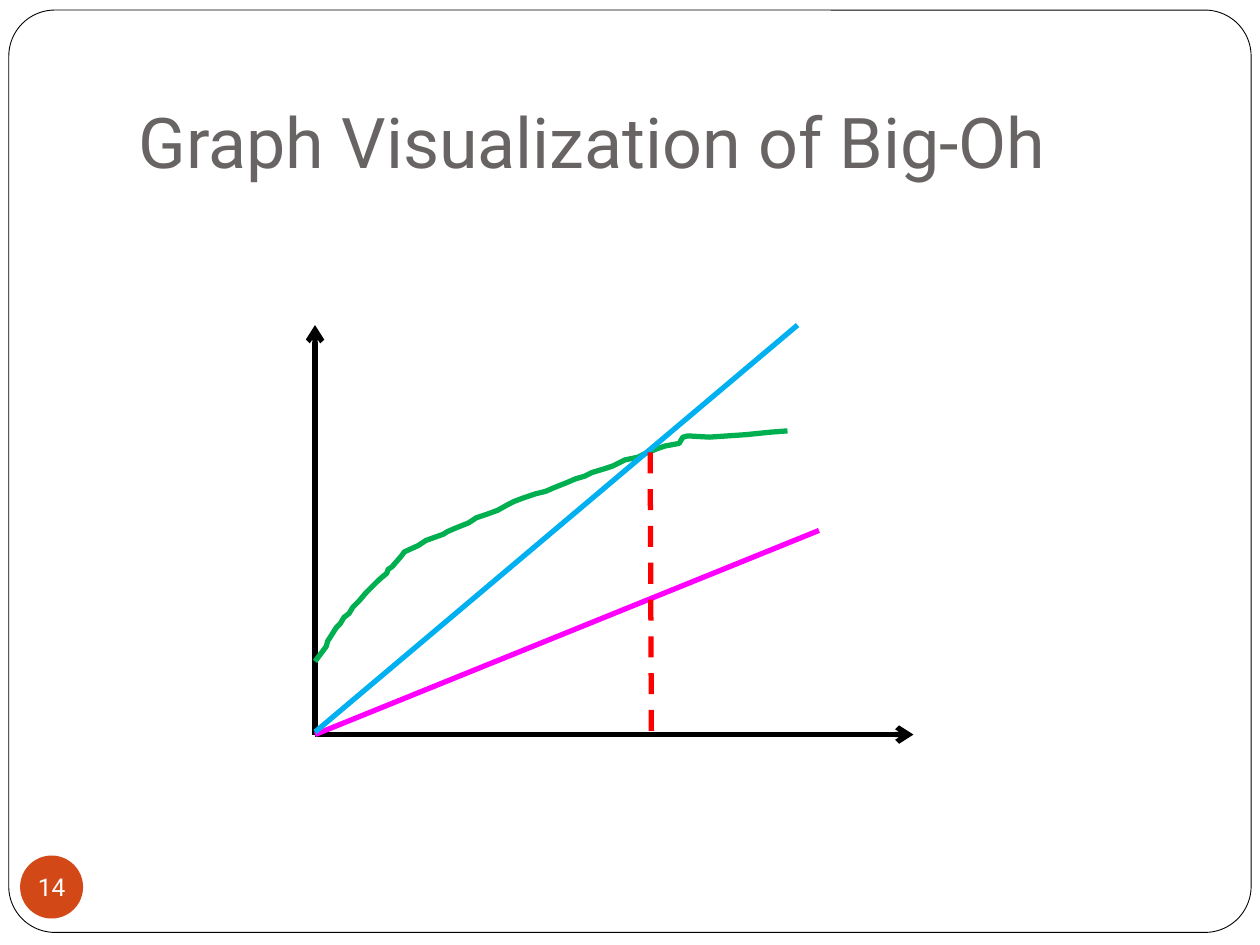
from lxml import etree
from pptx import Presentation
from pptx import util as u
from pptx.dml.color import RGBColor
from pptx.enum import dml, shapes, text
from pptx.oxml.ns import qn

BLACK = RGBColor(0x00, 0x00, 0x00)
WHITE = RGBColor(0xFF, 0xFF, 0xFF)
GRAY = RGBColor(0x69, 0x64, 0x64)
RUST = RGBColor(0xD3, 0x48, 0x17)
GREEN = RGBColor(0x00, 0xB0, 0x50)
PINK = RGBColor(0xFF, 0x00, 0xFF)
BLUE = RGBColor(0x00, 0xB0, 0xF0)
RED = RGBColor(0xFF, 0x00, 0x00)
FONT = "Roboto"

CURVE = [
    (0, 0.58), (0.09, 0.7), (0.1, 0.74), (0.17, 0.85), (0.2, 0.88),
    (0.23, 0.93), (0.27, 0.96), (0.3, 1.01), (0.35, 1.06), (0.4, 1.12),
    (0.44, 1.16), (0.51, 1.23), (0.57, 1.28), (0.58, 1.31), (0.61, 1.33),
    (0.68, 1.41), (0.71, 1.45), (0.82, 1.5), (0.88, 1.54), (1.02, 1.59),
    (1.05, 1.61), (1.12, 1.64), (1.22, 1.68), (1.28, 1.72), (1.37, 1.75),
    (1.45, 1.78), (1.54, 1.83), (1.58, 1.85), (1.66, 1.88), (1.75, 1.91),
    (1.83, 1.93), (1.9, 1.96), (2, 2), (2.07, 2.03), (2.14, 2.05),
    (2.2, 2.08), (2.3, 2.11), (2.36, 2.13), (2.46, 2.18), (2.56, 2.2),
    (2.62, 2.23), (2.72, 2.27), (2.78, 2.29), (2.89, 2.31), (2.92, 2.36),
    (2.96, 2.37), (3.13, 2.36), (3.42, 2.38), (3.62, 2.4), (3.75, 2.41),
]


def style(font, size, color):
    font.name = FONT
    font.size = u.Pt(size)
    font.color.rgb = color


def add_frame(slide, box):
    frame = slide.shapes.add_shape(shapes.MSO_SHAPE.ROUNDED_RECTANGLE, *box)
    frame.adjustments[0] = 0.05
    frame.shadow.inherit = False
    frame.fill.solid()
    frame.fill.fore_color.rgb = WHITE
    frame.line.color.rgb = BLACK
    frame.line.width = u.Pt(0.5)
    slide.shapes.title._element.addprevious(frame._element)


def add_title(slide, box, words):
    title = slide.shapes.title
    title.left, title.top, title.width, title.height = box
    body = title.text_frame
    body.text = words
    body.word_wrap = True
    body.auto_size = text.MSO_AUTO_SIZE.NONE
    body.vertical_anchor = text.MSO_ANCHOR.BOTTOM
    body.margin_bottom = u.Inches(0.1)
    para = body.paragraphs[0]
    para.alignment = text.PP_ALIGN.LEFT
    style(para.font, 40, GRAY)


def add_badge(slide, box, words):
    badge = slide.shapes.add_shape(shapes.MSO_SHAPE.OVAL, *box)
    badge.shadow.inherit = False
    badge.fill.solid()
    badge.fill.fore_color.rgb = RUST
    badge.line.fill.background()
    body = badge.text_frame
    body.text = words
    body.word_wrap = False
    body.vertical_anchor = text.MSO_ANCHOR.MIDDLE
    body.margin_left = body.margin_right = 0
    body.margin_top = body.margin_bottom = 0
    para = body.paragraphs[0]
    para.alignment = text.PP_ALIGN.CENTER
    style(para.font, 14, WHITE)


def add_line(owner, start, end, color):
    line = owner.add_connector(shapes.MSO_CONNECTOR.STRAIGHT, *start, *end)
    line.line.color.rgb = color
    line.line.width = u.Pt(3)
    etree.SubElement(line._element.spPr, qn("a:effectLst"))
    return line


def add_plot(slide, box):
    left, top, width, height = box

    def spot(x, y):
        return left + u.Inches(x), top + height - u.Inches(y)

    base = spot(0, 0)
    axes = slide.shapes.add_group_shape()
    for end in ((left + width, top + height), (left, top)):
        axis = add_line(axes.shapes, base, end, BLACK)
        etree.SubElement(axis.line._get_or_add_ln(), qn("a:tailEnd"), type="arrow")

    dots = [spot(x, y) for x, y in CURVE]
    pen = slide.shapes.build_freeform(*dots[0])
    pen.add_line_segments(dots[1:], close=False)
    curve = pen.convert_to_shape()
    curve.shadow.inherit = False
    curve.fill.background()
    curve.line.color.rgb = GREEN
    curve.line.width = u.Pt(3)

    add_line(slide.shapes, base, spot(4, 1.62), PINK)
    add_line(slide.shapes, spot(0, 0.02), spot(3.83, 3.25), BLUE)
    cross = add_line(slide.shapes, spot(2.66, 2.24), spot(2.67, 0.02), RED)
    cross.line.dash_style = dml.MSO_LINE.DASH


def inches(*sizes):
    return [u.Inches(size) for size in sizes]


def main():
    deck = Presentation()
    deck.slide_width, deck.slide_height = inches(10, 7.5)
    slide = deck.slides.add_slide(deck.slide_layouts[5])
    add_frame(slide, inches(0.07, 0.08, 9.86, 7.32))
    add_title(slide, inches(1, 0.3, 8.5, 1.25), "Graph Visualization of Big-Oh")
    add_badge(slide, inches(0.16, 6.79, 0.5, 0.5), "14")
    add_plot(slide, inches(2.5, 2.58, 4.75, 3.25))
    deck.save("out.pptx")


if __name__ == "__main__":
    main()
